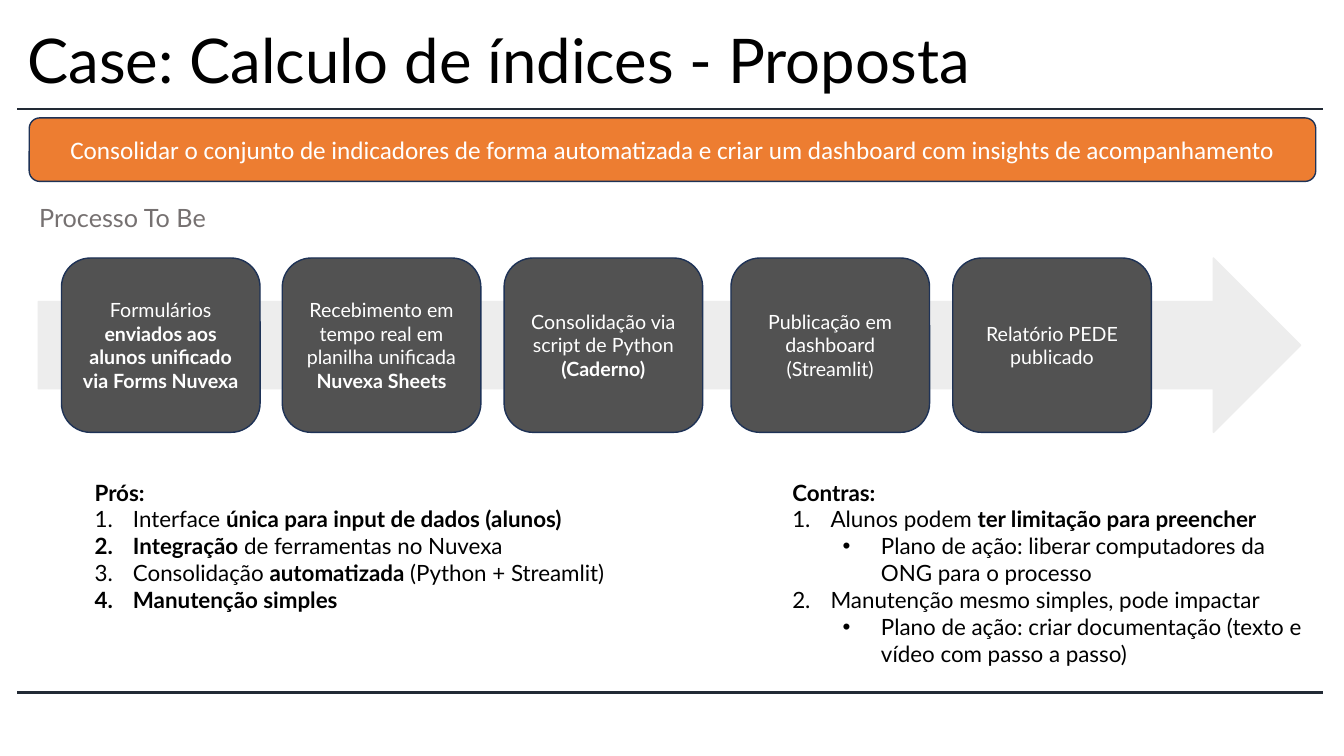
from lxml.etree import SubElement
from pptx import Presentation
from pptx.dml.color import RGBColor
from pptx.enum.shapes import MSO_CONNECTOR, MSO_SHAPE
from pptx.enum.text import MSO_ANCHOR, MSO_AUTO_SIZE, PP_ALIGN
from pptx.oxml.ns import qn
from pptx.util import Inches, Pt

WIDTH, HEIGHT = 13.33, 7.5
RULE_LEFT, RULE_RIGHT = 0.17, 13.12
BLACK, WHITE, NAVY = "000000", "FFFFFF", "1E3256"
ORANGE, CHARCOAL, PALE, GREY, RULE = "ED7D31", "525252", "EDEDED", "767171", "222A35"

CARD_WIDTH = 1.97
STEPS = [
    (0.23, [("Formulários ", False), ("enviados aos alunos unificado via Forms Nuvexa", True)]),
    (2.42, [("Recebimento em tempo real em planilha unificada ", False), ("Nuvexa Sheets", True)]),
    (4.62, [("Consolidação via script de Python ", False), ("(Caderno)", True)]),
    (6.87, [("Publicação em dashboard (Streamlit)", False)]),
    (9.07, [("Relatório PEDE publicado", False)]),
]
PROS = [
    ("heading", [("Prós:", True)]),
    ("number", [("Interface ", False), ("única para input de dados (alunos)", True)]),
    ("number", [("Integração", True), (" de ferramentas no Nuvexa", False)]),
    ("number", [("Consolidação ", False), ("automatizada", True), (" (Python + Streamlit)", False)]),
    ("number", [("Manutenção simples", True)]),
]
CONS = [
    ("heading", [("Contras:", True)]),
    ("number", [("Alunos podem ", False), ("ter limitação para preencher", True)]),
    ("bullet", [("Plano de ação: liberar computadores da ONG para o processo", False)]),
    ("number", [("Manutenção mesmo simples, pode impactar", False)]),
    ("bullet", [("Plano de ação: criar documentação (texto e vídeo com passo a passo)", False)]),
]


def color(value):
    """Turn a hex string into a colour."""
    return RGBColor.from_string(value)


def place(box):
    """Convert a box in inches to slide lengths."""
    return [Inches(length) for length in box]


def write(paragraph, runs, size, ink, font="Lato"):
    """Add (text, bold) runs to a paragraph."""
    for text, bold in runs:
        run = paragraph.add_run()
        run.text = text
        run.font.name, run.font.size, run.font.bold = font, Pt(size), bold
        run.font.color.rgb = color(ink)


def add_block(shapes, kind, box, fill, outline):
    """Add a filled preset shape without shadow."""
    block = shapes.add_shape(kind, *place(box))
    block.shadow.inherit = False
    block.fill.solid()
    block.fill.fore_color.rgb = color(fill)
    block.line.color.rgb = color(outline)
    block.line.width = Pt(1)
    return block


def add_label(shapes, box, fill, runs, size, font="Lato"):
    """Add a rounded rectangle with centred white text."""
    frame = add_block(shapes, MSO_SHAPE.ROUNDED_RECTANGLE, box, fill, NAVY).text_frame
    frame.word_wrap = True
    frame.vertical_anchor = MSO_ANCHOR.MIDDLE
    frame.paragraphs[0].alignment = PP_ALIGN.CENTER
    write(frame.paragraphs[0], runs, size, WHITE, font)


def add_title(slide, box, text):
    """Place and format the title placeholder."""
    title = slide.shapes.title
    title.left, title.top, title.width, title.height = place(box)
    frame = title.text_frame
    frame.word_wrap = True
    frame.auto_size = MSO_AUTO_SIZE.NONE
    frame.vertical_anchor = MSO_ANCHOR.MIDDLE
    heading = frame.paragraphs[0]
    heading.alignment = PP_ALIGN.LEFT
    heading.line_spacing = 0.9
    write(heading, [(text, False)], 44, BLACK)


def add_rule(slide, top):
    """Draw a horizontal rule across the slide."""
    rule = slide.shapes.add_connector(
        MSO_CONNECTOR.STRAIGHT, *place((RULE_LEFT, top, RULE_RIGHT, top)))
    rule.line.color.rgb = color(RULE)
    rule.line.width = Pt(1.5)
    SubElement(rule.line._get_or_add_ln().getparent(), qn("a:effectLst"))


def add_process(slide, box):
    """Draw the process arrow with its step cards inside a group."""
    left, top, _, height = box
    shapes = slide.shapes.add_group_shape().shapes
    add_block(shapes, MSO_SHAPE.RIGHT_ARROW, box, PALE, PALE)
    for offset, runs in STEPS:
        add_label(shapes, (left + offset, top, CARD_WIDTH, height), CHARCOAL, runs, 14)


def mark(paragraph, style):
    """Give a paragraph its indent and number or bullet."""
    properties = paragraph._p.get_or_add_pPr()
    properties.set("marL", str(Inches(0.38 if style == "number" else 0.88)))
    properties.set("indent", str(Inches(-0.38)))
    if style == "number":
        SubElement(properties, qn("a:buFont"), typeface="+mj-lt")
        SubElement(properties, qn("a:buAutoNum"), type="arabicPeriod")
    else:
        paragraph.level = 1
        SubElement(properties, qn("a:buFont"), typeface="Arial")
        SubElement(properties, qn("a:buChar"), char="•")


def add_text(slide, box, lines, size, ink):
    """Add a text box of headings, numbered items and bullets."""
    frame = slide.shapes.add_textbox(*place(box)).text_frame
    frame.word_wrap = True
    frame.auto_size = MSO_AUTO_SIZE.SHAPE_TO_FIT_TEXT
    for index, (style, runs) in enumerate(lines):
        paragraph = frame.add_paragraph() if index else frame.paragraphs[0]
        if style != "heading":
            mark(paragraph, style)
        write(paragraph, runs, size, ink)


def build_proposal(presentation):
    """Build the proposal slide."""
    slide = presentation.slides.add_slide(presentation.slide_layouts[5])
    add_title(slide, (RULE_LEFT, 0.18, 11.19, 0.9), "Case: Calculo de índices - Proposta")
    for top in (1.08, 6.87):
        add_rule(slide, top)
    goal = ("Consolidar o conjunto de indicadores de forma automatizada "
            "e criar um dashboard com insights de acompanhamento")
    add_label(slide.shapes, (0.29, 1.17, 12.76, 0.63), ORANGE, [(goal, False)], 18, "Calibri")
    add_process(slide, (0.38, 2.56, 12.52, 1.73))
    add_text(slide, (0.84, 4.7, 5.71, 1.72), PROS, 16, BLACK)
    add_text(slide, (0.29, 1.96, 1.96, 0.4), [("heading", [("Processo To Be", False)])], 18, GREY)
    add_text(slide, (7.76, 4.7, 5.34, 2.26), CONS, 16, BLACK)


def main():
    """Create and save the presentation."""
    presentation = Presentation()
    presentation.slide_width, presentation.slide_height = Inches(WIDTH), Inches(HEIGHT)
    build_proposal(presentation)
    presentation.save("out.pptx")


if __name__ == "__main__":
    main()
